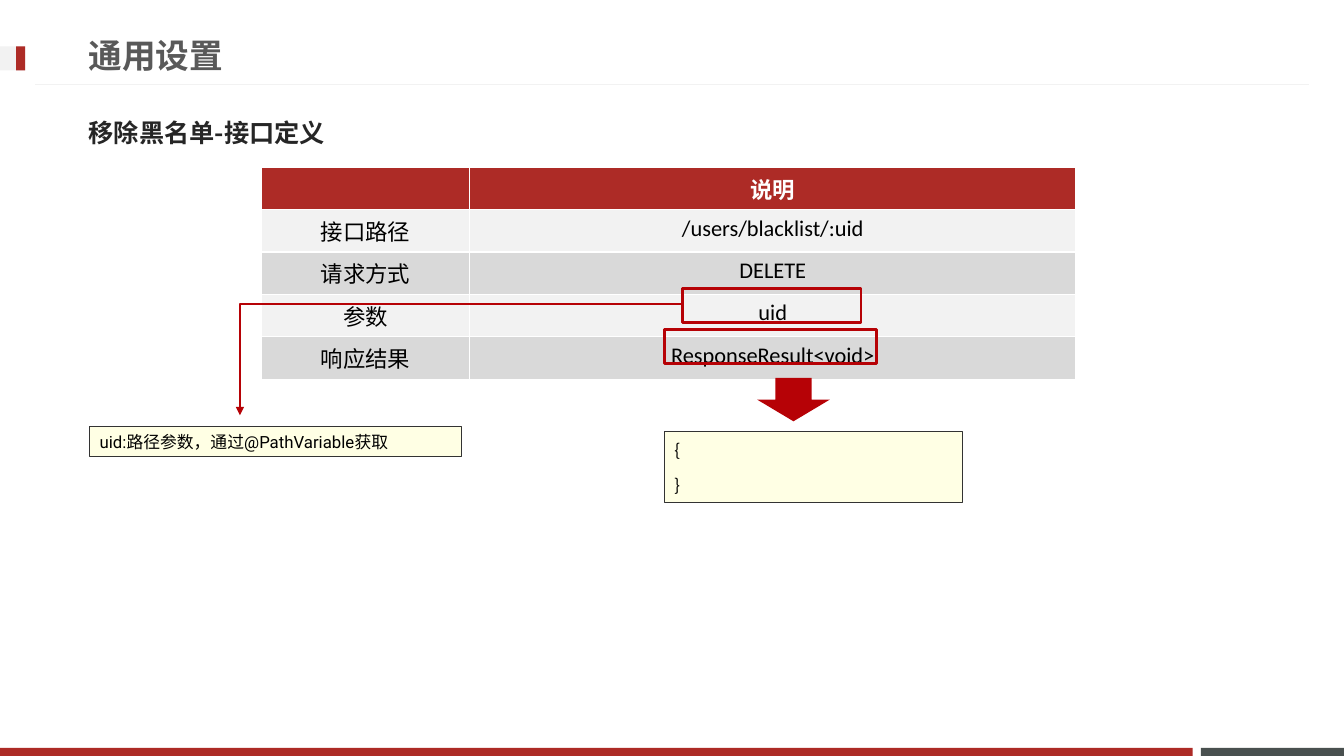
from lxml.etree import SubElement
from pptx import Presentation
from pptx.dml.color import RGBColor
from pptx.enum.shapes import MSO_CONNECTOR, MSO_SHAPE
from pptx.enum.text import MSO_ANCHOR, PP_ALIGN
from pptx.oxml.ns import qn
from pptx.util import Inches, Pt

COLORS = {
    "brand": "AD2B26",
    "slate": "49504F",
    "pale": "F2F2F2",
    "band": "D9D9D9",
    "accent": "B60206",
    "note": "FFFFE4",
    "note_line": "333333",
    "title": "595959",
    "subtitle": "262626",
    "black": "000000",
    "white": "FFFFFF",
}
CJK_FONT = "Noto Sans CJK SC"
TABLE_ROWS = [
    ("", "说明"),
    ("接口路径", "/users/blacklist/:uid"),
    ("请求方式", "DELETE"),
    ("参数", "uid"),
    ("响应结果", "ResponseResult<void>"),
]


def color(name):
    """Return the named palette colour."""
    return RGBColor.from_string(COLORS[name])


def write_text(frame, text, size=12, font="Roboto", east_asian=CJK_FONT, fill="black",
               bold=False, align=PP_ALIGN.LEFT, space_before=0):
    """Write each line of text as a formatted paragraph."""
    for index, line in enumerate(text.split("\n")):
        paragraph = frame.add_paragraph() if index else frame.paragraphs[0]
        paragraph.alignment = align
        paragraph.space_before = Pt(space_before if index else 0)
        run = paragraph.add_run()
        run.text = line
        run.font.size = Pt(size)
        run.font.bold = bold
        run.font.color.rgb = color(fill)
        run.font.name = font
        SubElement(run.font._element, qn("a:ea"), typeface=east_asian)


def add_box(slide, left, top, width, height, fill=None, line=None, line_width=0.75,
            kind=MSO_SHAPE.RECTANGLE):
    """Add a preset shape with an optional fill and outline."""
    shape = slide.shapes.add_shape(kind, Inches(left), Inches(top), Inches(width), Inches(height))
    shape.shadow.inherit = False
    if fill:
        shape.fill.solid()
        shape.fill.fore_color.rgb = color(fill)
    else:
        shape.fill.background()
    if line:
        shape.line.color.rgb = color(line)
        shape.line.width = Pt(line_width)
    else:
        shape.line.fill.background()
    return shape


def add_line(slide, start, end, line, width, kind=MSO_CONNECTOR.STRAIGHT):
    """Add a connector without a shadow."""
    connector = slide.shapes.add_connector(kind, *map(Inches, start + end))
    connector.line.color.rgb = color(line)
    connector.line.width = Pt(width)
    SubElement(connector._element.spPr, qn("a:effectLst"))
    return connector


def add_bent_arrow(slide, start, end):
    """Add an arrow that runs sideways and then turns once."""
    connector = add_line(slide, start, end, "accent", 1.5, MSO_CONNECTOR.ELBOW)
    connector._element.spPr.find(qn("a:prstGeom")).set("prst", "bentConnector2")
    SubElement(connector.line._get_or_add_ln(), qn("a:tailEnd"), type="triangle")


def add_note(slide, left, top, width, height, text, **text_format):
    """Add a yellow note box with text."""
    note = add_box(slide, left, top, width, height, "note", "note_line")
    note.text_frame.word_wrap = True
    note.text_frame.vertical_anchor = MSO_ANCHOR.MIDDLE
    write_text(note.text_frame, text, **text_format)


def fill_placeholder(placeholder, left, top, width, height, text, **text_format):
    """Move a placeholder and write its text."""
    placeholder.left, placeholder.top = Inches(left), Inches(top)
    placeholder.width, placeholder.height = Inches(width), Inches(height)
    placeholder.text_frame.vertical_anchor = MSO_ANCHOR.MIDDLE
    write_text(placeholder.text_frame, text, bold=True, **text_format)


def add_definition_table(slide):
    """Add the interface definition table."""
    table = slide.shapes.add_table(len(TABLE_ROWS), 2, Inches(2.59), Inches(1.66),
                                   Inches(8.08), Inches(1.96)).table
    for column, width in zip(table.columns, (2.07, 6.01)):
        column.width = Inches(width)
    for row_index, texts in enumerate(TABLE_ROWS):
        header = row_index == 0
        table.rows[row_index].height = Inches(0.36 if header else 0.4)
        fill = "brand" if header else ("band", "pale")[row_index % 2]
        for column_index, text in enumerate(texts):
            cell = table.cell(row_index, column_index)
            cell.fill.solid()
            cell.fill.fore_color.rgb = color(fill)
            if text:
                write_text(cell.text_frame, text, size=16, font="Calibri", bold=header,
                           fill="white" if header else "black", align=PP_ALIGN.CENTER)


def add_decoration(slide):
    """Add the footer bars, the title rule and the side marker."""
    add_box(slide, 11.91, 7.42, 1.42, 0.08, "slate")
    add_box(slide, 0, 7.42, 11.83, 0.08, "brand")
    add_line(slide, (12.98, 0.84), (0.35, 0.84), "pale", 0.75)
    add_box(slide, 0, 0.46, 0.25, 0.24, "pale")
    add_box(slide, 0.16, 0.46, 0.09, 0.24, "brand")


def main():
    """Build and save the slide."""
    presentation = Presentation()
    presentation.slide_width, presentation.slide_height = Inches(13.33), Inches(7.5)
    slide = presentation.slides.add_slide(presentation.slide_layouts[2])
    add_decoration(slide)
    fill_placeholder(slide.shapes.title, 0.78, 0.26, 9.59, 0.57, "通用设置",
                     size=24, fill="title")
    fill_placeholder(slide.placeholders[1], 0.78, 1.03, 11.7, 0.57, "移除黑名单-接口定义",
                     size=18, fill="subtitle", font="Noto Sans CJK JP",
                     east_asian="Noto Sans CJK JP")
    add_definition_table(slide)
    add_box(slide, 6.77, 2.86, 1.77, 0.34, line="accent", line_width=2)
    add_bent_arrow(slide, (6.77, 3.02), (2.38, 4.12))
    add_box(slide, 6.59, 3.27, 2.1, 0.34, line="accent", line_width=2)
    add_box(slide, 7.51, 3.75, 0.72, 0.43, "accent", kind=MSO_SHAPE.DOWN_ARROW)
    add_note(slide, 0.89, 4.23, 3.69, 0.3, "uid:路径参数，通过@PathVariable获取")
    add_note(slide, 6.59, 4.28, 2.96, 0.71, "{\n}", font=CJK_FONT, space_before=11)
    presentation.save("out.pptx")


if __name__ == "__main__":
    main()
